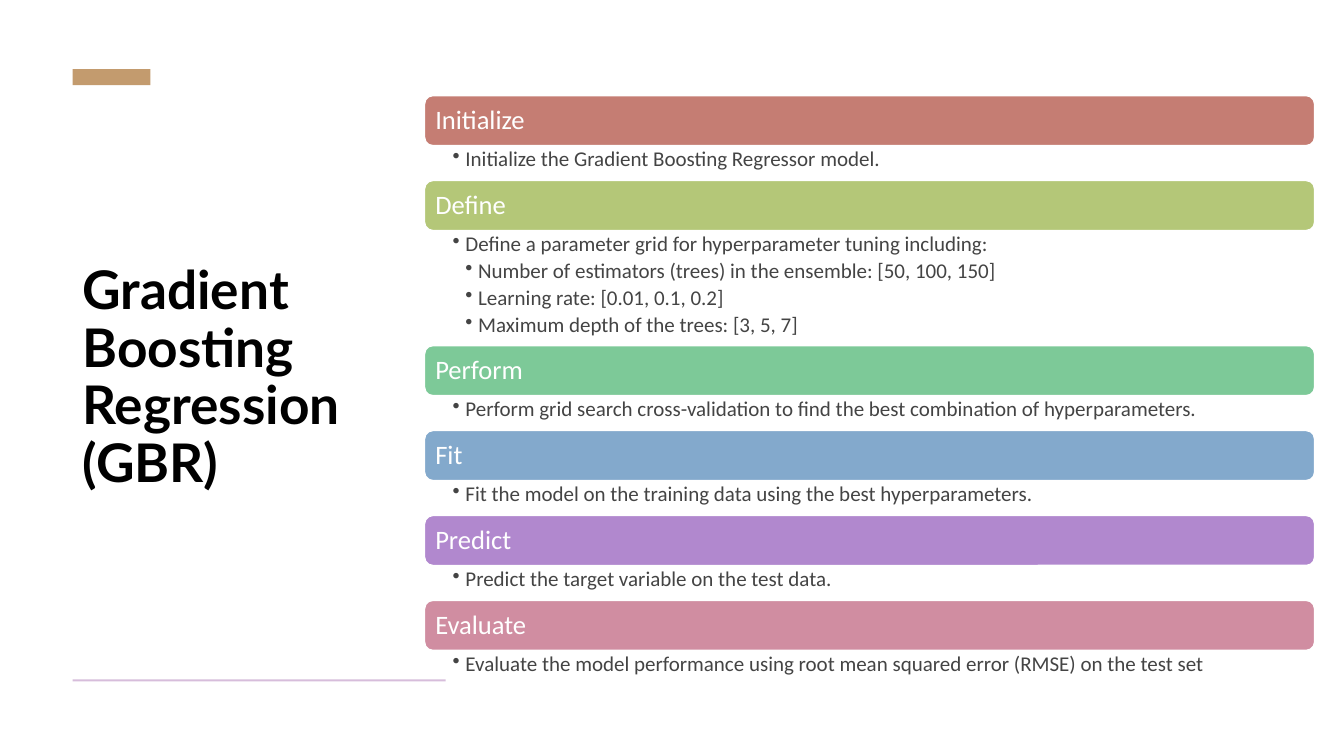
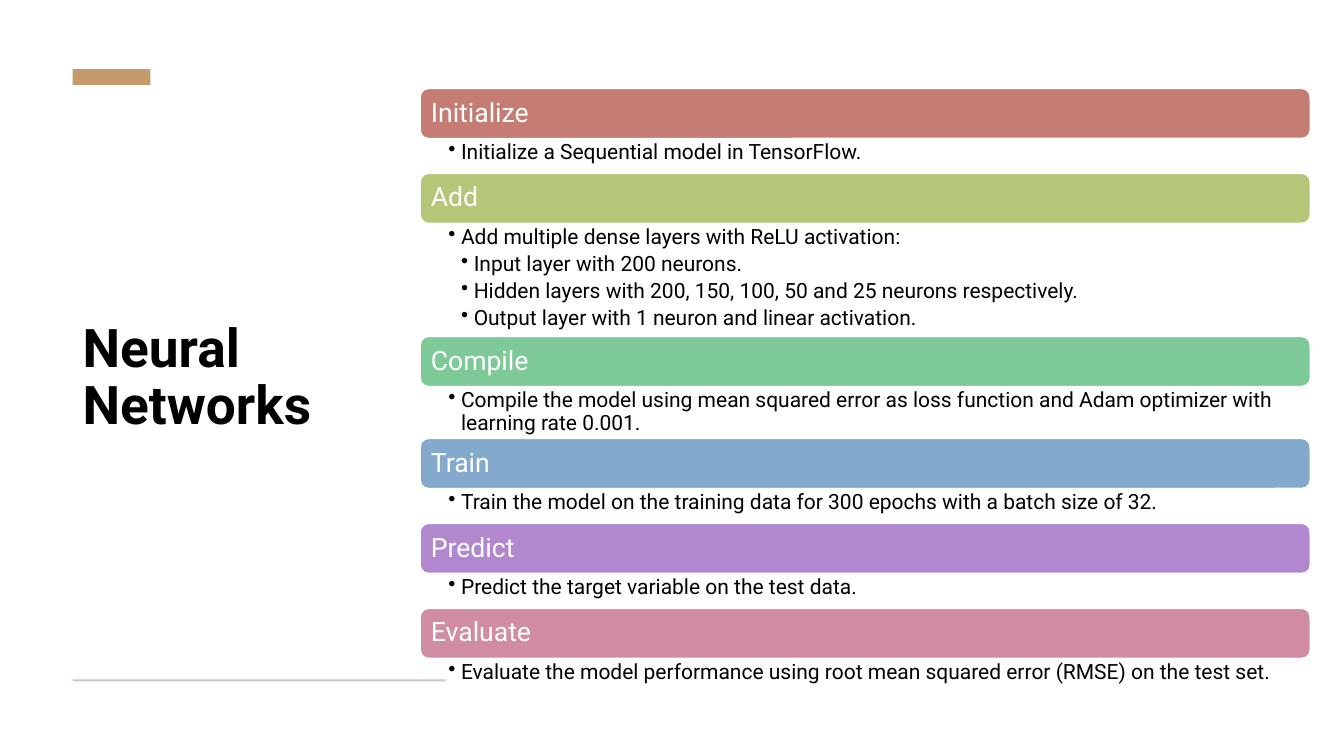
"""Build two slides that outline model-training workflows as coloured steps."""
import dataclasses

import lxml.etree
import pptx
import pptx.dml.color
import pptx.enum.shapes
import pptx.enum.text
import pptx.oxml.ns
import pptx.presentation
import pptx.shapes.autoshape
import pptx.slide
import pptx.text.text
import pptx.util

Cm = pptx.util.Cm
Pt = pptx.util.Pt
RGBColor = pptx.dml.color.RGBColor
Shape = pptx.enum.shapes.MSO_SHAPE
Anchor = pptx.enum.text.MSO_ANCHOR

BLACK = RGBColor(0x00, 0x00, 0x00)
WHITE = RGBColor(0xFF, 0xFF, 0xFF)
GRAY = RGBColor(0x44, 0x44, 0x44)
TAN = RGBColor(0xC3, 0x9B, 0x6E)
LILAC = RGBColor(0xD7, 0xBD, 0xDB)
STEP_COLORS = (
    RGBColor(0xC5, 0x7D, 0x73),
    RGBColor(0xB4, 0xC7, 0x78),
    RGBColor(0x7D, 0xC9, 0x98),
    RGBColor(0x83, 0xA9, 0xCC),
    RGBColor(0xB1, 0x88, 0xCE),
    RGBColor(0xD0, 0x8D, 0xA1),
)

MARGIN = Cm(1.83)
TITLE_WIDTH = Cm(9.4)
STEP_WIDTH = Cm(22.43)
BAND_HEIGHT = Cm(1.26)
BULLET_INDENT = Cm(0.32)


@dataclasses.dataclass(frozen=True)
class Step:
    """A workflow step; details after the first are its sub-points."""

    heading: str
    details: tuple[str, ...]
    details_height: pptx.util.Length = Cm(0.88)


@dataclasses.dataclass(frozen=True)
class Workflow:
    """The content and look of one slide."""

    title: str
    title_font: str
    step_font: str
    detail_color: RGBColor
    left: pptx.util.Length
    top: pptx.util.Length
    steps: tuple[Step, ...]


WORKFLOWS = (
    Workflow(
        "Gradient Boosting Regression (GBR)", "Lato", "Calibri", GRAY, Cm(10.7), Cm(2.41),
        (
            Step("Initialize", ("Initialize the Gradient Boosting Regressor model.",)),
            Step(
                "Define",
                (
                    "Define a parameter grid for hyperparameter tuning including:",
                    "Number of estimators (trees) in the ensemble: [50, 100, 150]",
                    "Learning rate: [0.01, 0.1, 0.2]",
                    "Maximum depth of the trees: [3, 5, 7]",
                ),
                Cm(2.9),
            ),
            Step(
                "Perform",
                ("Perform grid search cross-validation to find the best combination of hyperparameters.",),
            ),
            Step("Fit", ("Fit the model on the training data using the best hyperparameters.",)),
            Step("Predict", ("Predict the target variable on the test data.",)),
            Step(
                "Evaluate",
                ("Evaluate the model performance using root mean squared error (RMSE) on the test set",),
            ),
        ),
    ),
    Workflow(
        "Neural Networks", "Roboto", "Roboto", BLACK, Cm(10.59), Cm(2.23),
        (
            Step("Initialize", ("Initialize a Sequential model in TensorFlow.",)),
            Step(
                "Add",
                (
                    "Add multiple dense layers with ReLU activation:",
                    "Input layer with 200 neurons.",
                    "Hidden layers with 200, 150, 100, 50 and 25 neurons respectively.",
                    "Output layer with 1 neuron and linear activation.",
                ),
                Cm(2.85),
            ),
            Step(
                "Compile",
                (
                    "Compile the model using mean squared error as loss function and Adam optimizer "
                    "with learning rate 0.001.",
                ),
                Cm(1.31),
            ),
            Step("Train", ("Train the model on the training data for 300 epochs with a batch size of 32.",)),
            Step("Predict", ("Predict the target variable on the test data.",)),
            Step(
                "Evaluate",
                ("Evaluate the model performance using root mean squared error (RMSE) on the test set.",),
            ),
        ),
    ),
)


def write(
    paragraph: pptx.text.text._Paragraph,
    text: str,
    *,
    font: str,
    size: int,
    color: RGBColor,
    bold: bool = False,
    bullet_level: int = 0,
    space_after: int = 0,
) -> None:
    """Fill a paragraph with formatted text, bulleted if it has a bullet level."""
    paragraph.alignment = pptx.enum.text.PP_ALIGN.LEFT
    paragraph.line_spacing = 0.9
    paragraph.space_before = Pt(0)
    paragraph.space_after = Pt(space_after)
    if bullet_level:
        paragraph.level = bullet_level
        properties = paragraph._p.get_or_add_pPr()
        properties.set("marL", str(BULLET_INDENT * bullet_level))
        properties.set("indent", str(-BULLET_INDENT))
        bullet = lxml.etree.SubElement(properties, pptx.oxml.ns.qn("a:buChar"))
        bullet.set("char", "•")
    run = paragraph.add_run()
    run.text = text
    run.font.name = font
    run.font.size = Pt(size)
    run.font.bold = bold
    run.font.color.rgb = color


def set_frame(
    frame: pptx.text.text.TextFrame,
    anchor: pptx.enum.text.MSO_ANCHOR,
    left: float,
    right: float,
    vertical: float,
) -> None:
    """Make a text frame wrap, with its anchor and insets in centimetres."""
    frame.word_wrap = True
    frame.auto_size = pptx.enum.text.MSO_AUTO_SIZE.NONE
    frame.vertical_anchor = anchor
    frame.margin_left, frame.margin_right = Cm(left), Cm(right)
    frame.margin_top = frame.margin_bottom = Cm(vertical)


def add_block(
    slide: pptx.slide.Slide,
    outline: pptx.enum.shapes.MSO_SHAPE,
    left: int,
    top: int,
    width: int,
    height: int,
    color: RGBColor,
) -> pptx.shapes.autoshape.Shape:
    """Add a flat filled shape without a line."""
    block = slide.shapes.add_shape(outline, left, top, width, height)
    block.shadow.inherit = False
    block.fill.solid()
    block.fill.fore_color.rgb = color
    block.line.fill.background()
    return block


def add_frame(slide: pptx.slide.Slide, workflow: Workflow) -> None:
    """Set the title and draw the shared accent and divider."""
    title = slide.shapes.title
    title.left, title.top, title.width, title.height = MARGIN, Cm(2.67), TITLE_WIDTH, Cm(13.74)
    set_frame(title.text_frame, Anchor.MIDDLE, 0.25, 0.25, 0.13)
    write(
        title.text_frame.paragraphs[0], workflow.title,
        font=workflow.title_font, size=38, color=BLACK, bold=True,
    )
    add_block(slide, Shape.RECTANGLE, MARGIN, Cm(1.74), Cm(1.96), Cm(0.41), TAN)
    add_block(slide, Shape.RECTANGLE, MARGIN, Cm(17.12), TITLE_WIDTH, Cm(0.05), LILAC)


def add_step(slide: pptx.slide.Slide, workflow: Workflow, step: Step, top: int, color: RGBColor) -> int:
    """Draw a heading band with its details and return the bottom edge."""
    band = add_block(slide, Shape.ROUNDED_RECTANGLE, workflow.left, top, STEP_WIDTH, BAND_HEIGHT, color)
    band.line.color.rgb = WHITE
    band.line.width = Pt(1)
    set_frame(band.text_frame, Anchor.MIDDLE, 0.21, 0.21, 0.2)
    write(band.text_frame.paragraphs[0], step.heading, font=workflow.step_font, size=19, color=WHITE)

    details_top = top + BAND_HEIGHT
    details = slide.shapes.add_textbox(workflow.left, details_top, STEP_WIDTH, step.details_height)
    frame = details.text_frame
    set_frame(frame, Anchor.TOP, 0.71, 0.38, 0.07)
    for index, detail in enumerate(step.details):
        write(
            frame.add_paragraph() if index else frame.paragraphs[0], detail,
            font=workflow.step_font, size=15, color=workflow.detail_color,
            bullet_level=2 if index else 1, space_after=3,
        )
    return details_top + step.details_height


def add_workflow(presentation: pptx.presentation.Presentation, workflow: Workflow) -> None:
    """Add one workflow slide, stacking its steps from the top."""
    slide = presentation.slides.add_slide(presentation.slide_layouts.get_by_name("Title Only"))
    add_frame(slide, workflow)
    top = workflow.top
    for step, color in zip(workflow.steps, STEP_COLORS):
        top = add_step(slide, workflow, step, top, color)


def main() -> None:
    """Build and save the presentation."""
    presentation = pptx.Presentation()
    presentation.slide_width, presentation.slide_height = Cm(33.87), Cm(19.05)
    for workflow in WORKFLOWS:
        add_workflow(presentation, workflow)
    presentation.save("out.pptx")


if __name__ == "__main__":
    main()
